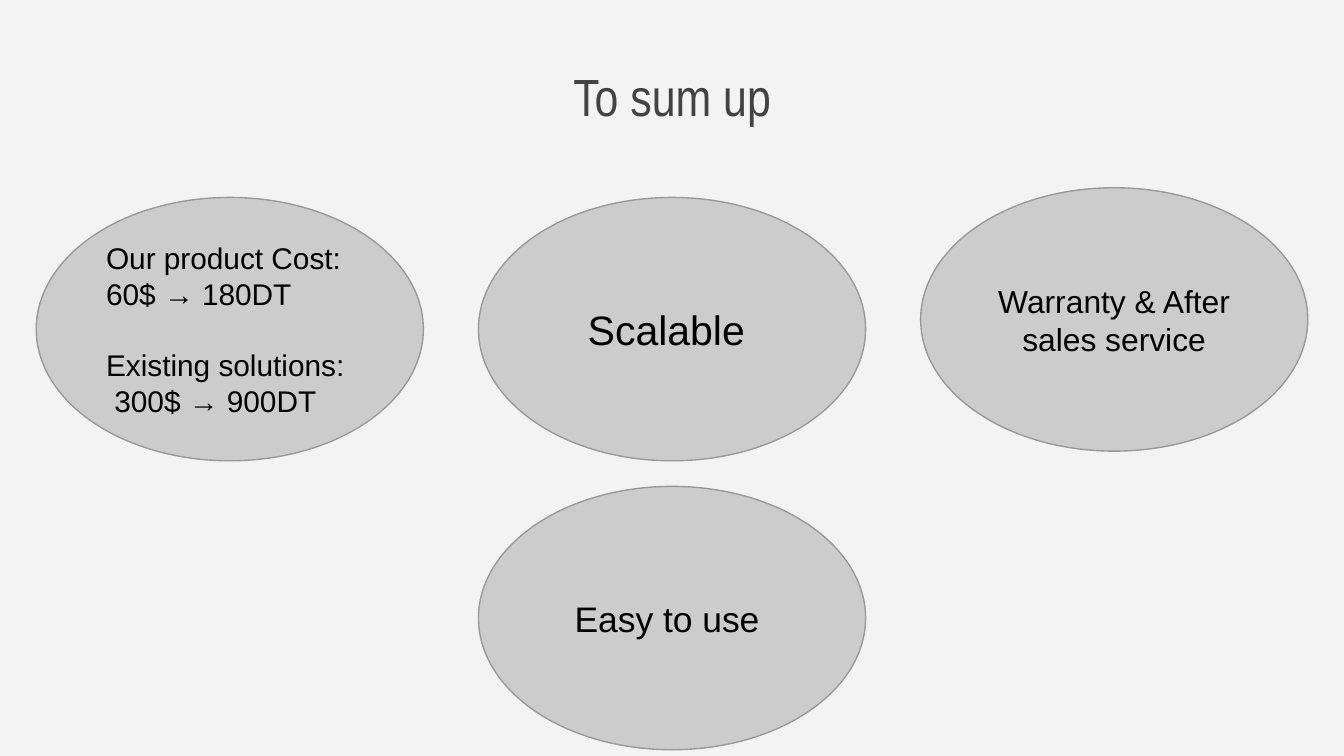
from dataclasses import dataclass

from pptx import Presentation
from pptx.dml.color import RGBColor
from pptx.enum.shapes import MSO_SHAPE
from pptx.enum.text import MSO_ANCHOR, PP_ALIGN
from pptx.util import Pt

OVAL = MSO_SHAPE.OVAL
TOP, MIDDLE = MSO_ANCHOR.TOP, MSO_ANCHOR.MIDDLE
LEFT, CENTER = PP_ALIGN.LEFT, PP_ALIGN.CENTER


@dataclass(frozen=True)
class Theme:
    background = RGBColor(0xF3, 0xF3, 0xF3)
    title = RGBColor(0x43, 0x43, 0x43)
    text = RGBColor(0x00, 0x00, 0x00)
    fill = RGBColor(0xCC, 0xCC, 0xCC)
    line = RGBColor(0x99, 0x99, 0x99)
    title_font = "Arial Narrow"
    body_font = "Arial"
    title_size = 28
    cost_size = 16
    warranty_size = 17
    easy_size = 19
    scalable_size = 22


theme = Theme()


def write(sp, lines, font, size, color, align, anchor):
    tf = sp.text_frame
    tf.text = "\n".join(lines)
    tf.word_wrap = True
    tf.vertical_anchor = anchor
    tf.margin_left = tf.margin_right = tf.margin_top = tf.margin_bottom = Pt(7.2)
    for p in tf.paragraphs:
        p.alignment = align
        for r in p.runs:
            r.font.name = font
            r.font.size = Pt(size)
            r.font.color.rgb = color


prs = Presentation()
prs.slide_width, prs.slide_height = Pt(720), Pt(405)
s = prs.slides.add_slide(prs.slide_layouts[5])
s.background.fill.solid()
s.background.fill.fore_color.rgb = theme.background

title = s.shapes.title
title.left, title.top, title.width, title.height = Pt(144.7), Pt(27), Pt(430.6), Pt(65.5)
write(title, ["To sum up"], theme.title_font, theme.title_size, theme.title, CENTER, TOP)

oval_w, oval_h = 207.4, 141.1
first_left, pitch = 19.4, 236.9
cost_lines = ["Our product Cost: 60$ → 180DT", "Existing solutions:", " 300$ → 900DT"]
ovals = [
    (0, 105.8, cost_lines, theme.cost_size, LEFT),
    (1, 105.8, ["Scalable "], theme.scalable_size, CENTER),
    (2, 100.6, ["Warranty & After sales service"], theme.warranty_size, CENTER),
    (1, 260.6, ["Easy to use "], theme.easy_size, CENTER),
]
for column, top, lines, size, align in ovals:
    left = first_left + column * pitch
    sp = s.shapes.add_shape(OVAL, Pt(left), Pt(top), Pt(oval_w), Pt(oval_h))
    sp.shadow.inherit = False
    sp.fill.solid()
    sp.fill.fore_color.rgb = theme.fill
    sp.line.color.rgb = theme.line
    sp.line.width = Pt(0.75)
    write(sp, lines, theme.body_font, size, theme.text, align, MIDDLE)
    if len(lines) > 1:
        sp.text_frame.paragraphs[1].space_before = Pt(19)

prs.save("out.pptx")
